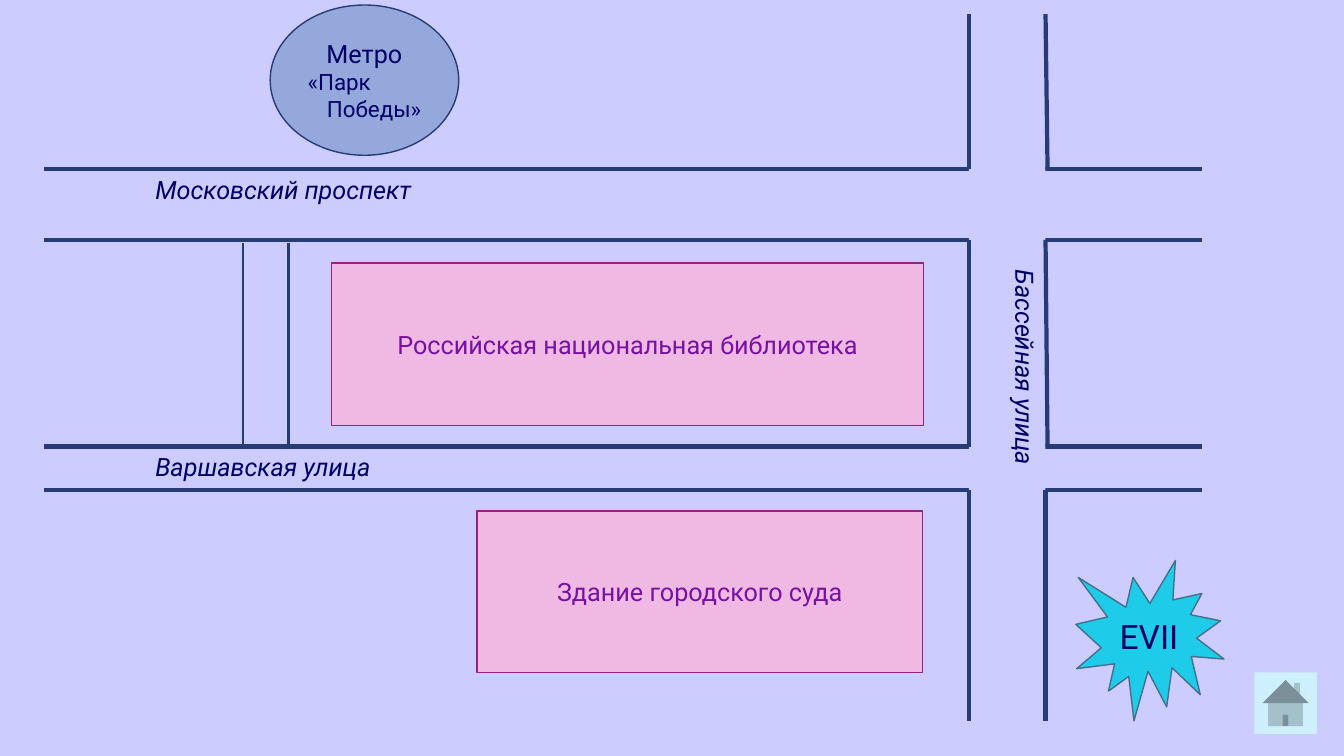
from lxml.etree import SubElement
from pptx import Presentation
from pptx.dml.color import RGBColor
from pptx.enum.shapes import MSO_CONNECTOR, MSO_SHAPE
from pptx.enum.text import MSO_ANCHOR, PP_ALIGN
from pptx.oxml.ns import qn
from pptx.util import Inches, Pt

LAVENDER = RGBColor(0xCC, 0xCC, 0xFF)
NAVY = RGBColor(0x27, 0x3C, 0x77)
INK = RGBColor(0x00, 0x00, 0x66)
PINK = RGBColor(0xEF, 0xB9, 0xE3)
MAGENTA = RGBColor(0x96, 0x22, 0x7B)
PURPLE = RGBColor(0x76, 0x11, 0xA3)
METRO_BLUE = RGBColor(0x95, 0xA8, 0xDC)
CYAN = RGBColor(0x1E, 0xCB, 0xE8)
STEEL = RGBColor(0x44, 0x70, 0x8E)
ICE = RGBColor(0xCE, 0xF0, 0xFE)

LEFT, TOP, BOTTOM = 0.44, 0.14, 7.15
CROSS_LEFT, CROSS_RIGHT, RIGHT = 9.61, 10.37, 11.92
MOSCOW_TOP, MOSCOW_BOTTOM = 1.68, 2.38
WARSAW_TOP, WARSAW_BOTTOM = 4.43, 4.86
ALLEY_LEFT, ALLEY_RIGHT, ALLEY_TOP = 2.41, 2.86, 2.41

presentation = Presentation()
presentation.slide_width = Inches(13.33)
presentation.slide_height = Inches(7.5)
slide = presentation.slides.add_slide(presentation.slide_layouts[6])
slide.background.fill.solid()
slide.background.fill.fore_color.rgb = LAVENDER


def add_block(kind, box, fill, line=None, lines=(), color=INK, italic=False, anchor=MSO_ANCHOR.MIDDLE):
    shape = slide.shapes.add_shape(kind, *map(Inches, box))
    shape.shadow.inherit = False
    shape.fill.solid()
    shape.fill.fore_color.rgb = fill
    if line is None:
        shape.line.fill.background()
    else:
        shape.line.color.rgb = line
        shape.line.width = Pt(1)
    frame = shape.text_frame
    frame.word_wrap = True
    frame.vertical_anchor = anchor
    for index, (text, size, alignment) in enumerate(lines):
        paragraph = frame.add_paragraph() if index else frame.paragraphs[0]
        paragraph.alignment = alignment
        run = paragraph.add_run()
        run.text = text
        run.font.color.rgb = color
        for name, value in {"name": "Roboto", "size": Pt(size), "italic": italic}.items():
            setattr(run.font, name, value)
    return shape


def add_curb(start_x, start_y, end_x, end_y, width=3):
    points = map(Inches, (start_x, start_y, end_x, end_y))
    connector = slide.shapes.add_connector(MSO_CONNECTOR.STRAIGHT, *points)
    connector.line.color.rgb = NAVY
    connector.line.width = Pt(width)
    SubElement(connector._element.spPr, qn("a:effectLst"))


add_block(MSO_SHAPE.EXPLOSION1, (10.67, 5.56, 1.47, 1.59), CYAN, STEEL,
          [("EVII", 24, PP_ALIGN.CENTER)])
add_block(MSO_SHAPE.RECTANGLE,
          (ALLEY_LEFT, ALLEY_TOP, ALLEY_RIGHT - ALLEY_LEFT, WARSAW_TOP - ALLEY_TOP), LAVENDER)

for street_name, top, bottom in (
    ("Варшавская улица", WARSAW_TOP, WARSAW_BOTTOM),
    ("Московский проспект", MOSCOW_TOP, MOSCOW_BOTTOM),
):
    street = add_block(MSO_SHAPE.RECTANGLE, (LEFT, top, RIGHT - LEFT, bottom - top), LAVENDER,
                       lines=[(street_name, 18, PP_ALIGN.LEFT)], italic=True, anchor=MSO_ANCHOR.TOP)
    street.text_frame.margin_left = Inches(1.1)
    for y in (top, bottom):
        add_curb(LEFT, y, RIGHT, y)

add_block(MSO_SHAPE.ACTION_BUTTON_HOME, (12.44, 6.67, 0.62, 0.61), ICE)
add_block(MSO_SHAPE.OVAL, (2.68, 0.05, 1.87, 1.49), METRO_BLUE, NAVY,
          [("Метро", 18, PP_ALIGN.CENTER), ("«Парк", 16, PP_ALIGN.LEFT), ("Победы»", 16, PP_ALIGN.RIGHT)])

cross_street = add_block(MSO_SHAPE.RECTANGLE, (CROSS_LEFT, TOP, CROSS_RIGHT - CROSS_LEFT, BOTTOM - TOP),
                         LAVENDER, lines=[("Бассейная улица", 18, PP_ALIGN.CENTER)],
                         italic=True, anchor=MSO_ANCHOR.TOP)
cross_street.text_frame._txBody.bodyPr.set("vert", "vert")

for top, bottom, slant in (
    (TOP, MOSCOW_TOP, 0.02),
    (MOSCOW_BOTTOM, WARSAW_TOP, 0.02),
    (WARSAW_BOTTOM, BOTTOM, 0),
):
    add_curb(CROSS_RIGHT + slant, bottom, CROSS_RIGHT, top)
    add_curb(CROSS_LEFT, bottom, CROSS_LEFT, top)
for x in (ALLEY_LEFT, ALLEY_RIGHT):
    add_curb(x, WARSAW_TOP, x, ALLEY_TOP, 2)

for building_name, box in (
    ("Российская национальная библиотека", (3.29, 2.61, 5.87, 1.61)),
    ("Здание городского суда", (4.73, 5.07, 4.42, 1.6)),
):
    add_block(MSO_SHAPE.RECTANGLE, box, PINK, MAGENTA,
              [(building_name, 18, PP_ALIGN.CENTER)], PURPLE)

presentation.save("out.pptx")
